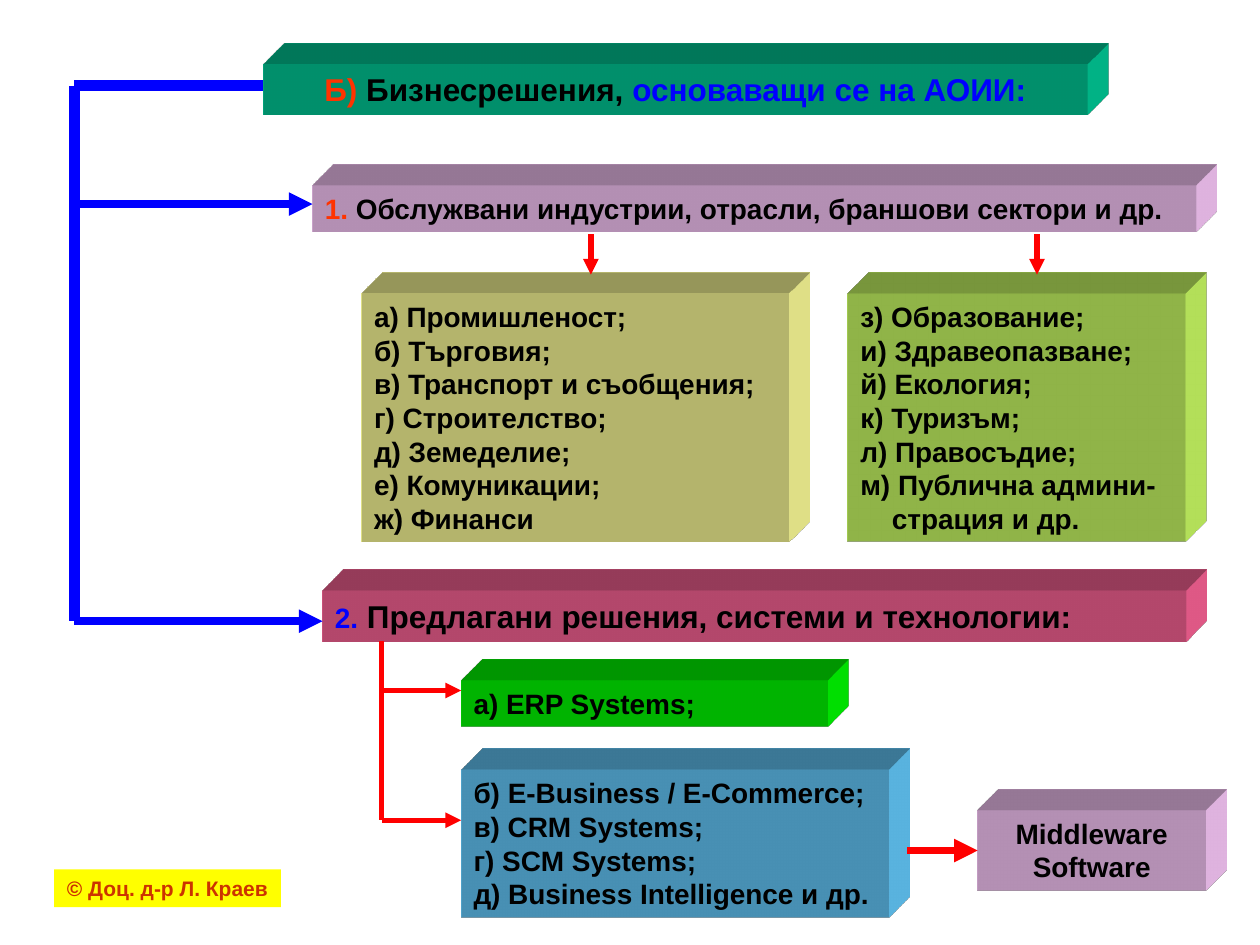
from dataclasses import dataclass

from lxml.etree import SubElement
from pptx import Presentation
from pptx.dml.color import RGBColor
from pptx.enum.shapes import MSO_CONNECTOR as CONN, MSO_SHAPE as SHAPE
from pptx.enum.text import MSO_ANCHOR as ANCHOR, MSO_AUTO_SIZE as FIT, PP_ALIGN as ALIGN
from pptx.oxml import parse_xml
from pptx.oxml.ns import nsdecls, qn
from pptx.util import Inches, Pt


@dataclass(frozen=True)
class Theme:
    font: str = "Arial"
    heading: int = 18
    body: int = 16
    small: int = 12
    black: str = "000000"
    blue: str = "0000FF"
    red: str = "FF0000"
    orange: str = "FF3300"
    rust: str = "CC3300"
    yellow: str = "FFFF00"
    teal: str = "00CC99"
    lilac: str = "FFCCFF"
    cream: str = "FFFF99"
    lime: str = "CCFF66"
    pink: str = "FF6699"
    sky: str = "66CCFF"
    green: str = "00FF00"
    depth: int = 430200


T = Theme()


class Deck:
    def __init__(self, prs, theme):
        self.theme = theme
        self.slide = prs.slides.add_slide(prs.slide_layouts[6])

    def box(self, left, top, width, height, fill, align=ALIGN.LEFT, wrap=True):
        sp = self.slide.shapes.add_shape(
            SHAPE.RECTANGLE, Inches(left), Inches(top), Inches(width), Inches(height))
        sp.shadow.inherit = False
        sp.fill.solid()
        sp.fill.fore_color.rgb = RGBColor.from_string(fill)
        sp.line.fill.background()
        tf = sp.text_frame
        tf.word_wrap = wrap
        tf.auto_size = FIT.SHAPE_TO_FIT_TEXT
        tf.vertical_anchor = ANCHOR.TOP
        tf.paragraphs[0].alignment = align
        return sp

    def extrude(self, sp, color):
        props = sp._element.spPr
        props.append(parse_xml(
            f'<a:scene3d {nsdecls("a")}><a:camera prst="legacyObliqueTopRight"/>'
            '<a:lightRig rig="legacyFlat3" dir="b"/></a:scene3d>'))
        props.append(parse_xml(
            f'<a:sp3d {nsdecls("a")} extrusionH="{self.theme.depth}" prstMaterial="legacyMatte">'
            '<a:bevelT w="13500" h="13500" prst="angle"/>'
            '<a:bevelB w="13500" h="13500" prst="angle"/>'
            f'<a:extrusionClr><a:srgbClr val="{color}"/></a:extrusionClr></a:sp3d>'))

    def style(self, r, size, color):
        r.font.name = self.theme.font
        r.font.size = Pt(size)
        r.font.bold = True
        r.font.color.rgb = RGBColor.from_string(color)

    def heading(self, left, top, width, height, fill, parts, align=ALIGN.LEFT):
        sp = self.box(left, top, width, height, fill, align)
        self.extrude(sp, fill)
        for text, size, color in parts:
            r = sp.text_frame.paragraphs[0].add_run()
            r.text = text
            self.style(r, size, color)
        return sp

    def listing(self, left, top, width, height, fill, lines, align=ALIGN.LEFT):
        sp = self.box(left, top, width, height, fill, align)
        self.extrude(sp, fill)
        sp.text_frame.text = "\n".join(lines)
        for p in sp.text_frame.paragraphs:
            p.alignment = align
            if "\v" in p.text:
                pPr = p._p.get_or_add_pPr()
                pPr.set("marL", str(Inches(0.25)))
                pPr.set("indent", str(-Inches(0.25)))
            for r in p.runs:
                self.style(r, self.theme.body, self.theme.black)
        return sp

    def label(self, left, top, width, height, fill, text, color):
        sp = self.box(left, top, width, height, fill, ALIGN.CENTER, wrap=False)
        p = sp.text_frame.paragraphs[0]
        p.text = text
        self.style(p.runs[0], self.theme.small, color)

    def line(self, start, end, color, width, arrow=False, target=None, site=1):
        ends = [Inches(v) for v in (*start, *end)]
        cx = self.slide.shapes.add_connector(CONN.STRAIGHT, *ends)
        if target is not None:
            cx.end_connect(target, site)
        cx.line.color.rgb = RGBColor.from_string(color)
        cx.line.width = Pt(width)
        if arrow:
            SubElement(cx.line._get_or_add_ln(), qn("a:tailEnd"), type="triangle")
        SubElement(cx._element.spPr, qn("a:effectLst"))


def main():
    prs = Presentation()
    prs.slide_width, prs.slide_height = Inches(10), Inches(7.5)
    deck = Deck(prs, T)

    deck.heading(2.09, 0.51, 6.54, 0.4, T.teal, [
        ("Б)", T.heading, T.orange),
        (" Бизнесрешения, ", T.heading, T.black),
        ("основаващи се на АОИИ:", T.heading, T.blue)], ALIGN.CENTER)
    deck.heading(2.48, 1.47, 7.01, 0.37, T.lilac, [
        ("1.", T.body, T.orange),
        (" Обслужвани индустрии, отрасли, браншови сектори и др.", T.body, T.black)])
    deck.listing(2.87, 2.33, 3.39, 1.97, T.cream, [
        "а) Промишленост;", "б) Търговия;", "в) Транспорт и съобщения;",
        "г) Строителство;", "д) Земеделие;", "е) Комуникации;", "ж) Финанси"])
    deck.label(0.43, 6.9, 1.8, 0.3, T.yellow, "© Доц. д-р Л. Краев", T.rust)
    deck.listing(6.73, 2.33, 2.68, 1.97, T.lime, [
        "з) Образование;", "и) Здравеопазване;", "й) Екология;", "к) Туризъм;",
        "л) Правосъдие;", "м) Публична админи-\vстрация и др."])
    deck.heading(2.56, 4.69, 6.85, 0.4, T.pink, [
        ("2.", T.body, T.blue),
        (" Предлагани решения, системи и технологии:", T.heading, T.black)])
    deck.listing(3.66, 6.11, 3.39, 1.17, T.sky, [
        "б) E-Business / E-Commerce;", "в) CRM Systems;", "г) SCM Systems;",
        "д) Business Intelligence и др."])

    trunk, top, bottom = 0.59, 0.68, 4.93
    deck.line((2.09, top), (trunk, top), T.blue, 6)
    deck.line((trunk, top), (trunk, bottom), T.blue, 6)
    for x, y in ((2.48, 1.62), (2.56, bottom)):
        deck.line((trunk, y), (x, y), T.blue, 4.5, arrow=True)

    for x in (4.69, 8.23):
        deck.line((x, 1.86), (x, 2.18), T.red, 3, arrow=True)

    branch, last = 3.03, 6.51
    deck.line((branch, 5.09), (branch, last), T.red, 3)

    software = deck.listing(7.76, 6.43, 1.81, 0.64, T.lilac,
                            ["Middleware", "Software"], ALIGN.CENTER)
    deck.line((7.2, 6.75), (7.76, 6.75), T.red, 4.5, arrow=True, target=software)
    deck.listing(3.66, 5.4, 2.91, 0.37, T.green, ["а) ERP Systems;"])
    for y in (5.48, last):
        deck.line((branch, y), (3.66, y), T.red, 3, arrow=True)

    prs.save("out.pptx")


if __name__ == "__main__":
    main()
